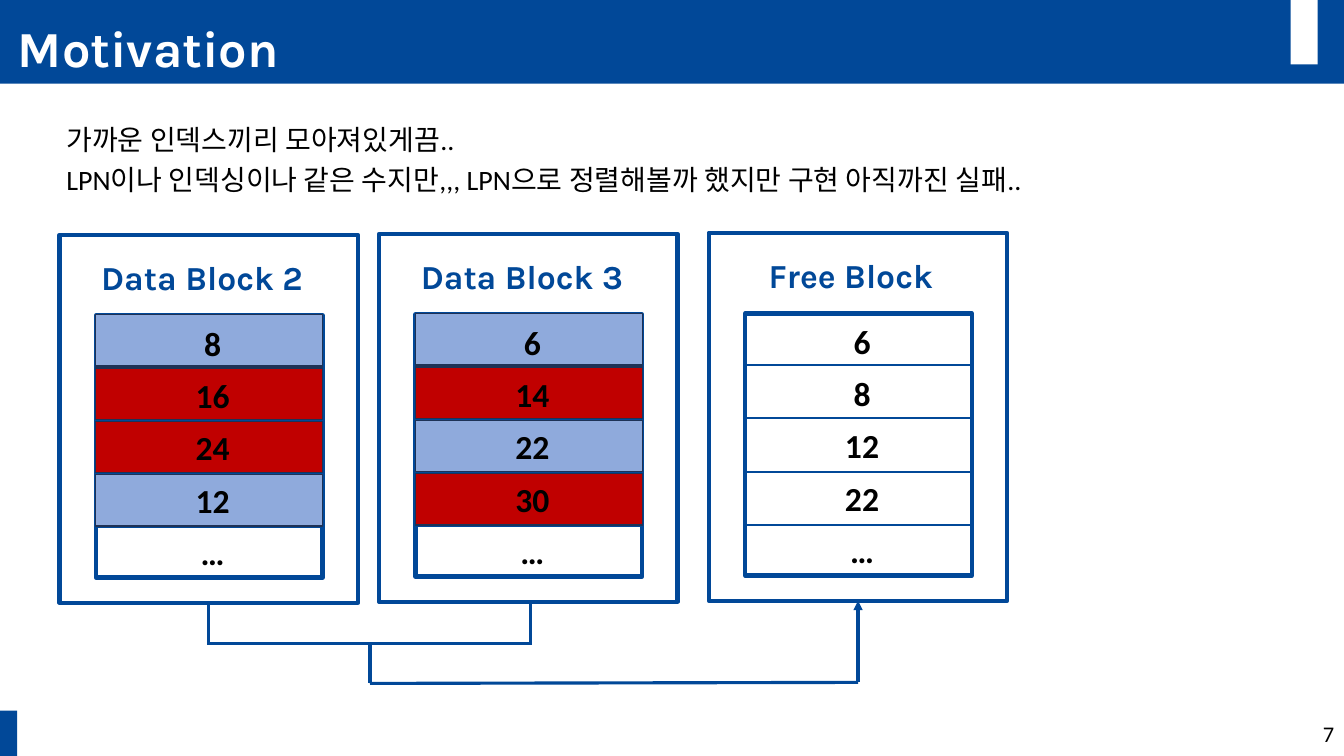
"""Build the Motivation slide: two data blocks merged in order into a free block."""
import pptx
import pptx.util
import pptx.dml.color
import pptx.enum.shapes
import pptx.enum.text
from dataclasses import dataclass
from lxml import etree
from pptx.util import Inches


@dataclass(frozen=True)
class Theme:
    blue: str = "014898"
    white: str = "FFFFFF"
    black: str = "000000"
    valid: str = "8FAADC"
    invalid: str = "C00000"
    cell_edge: str = "1E3256"
    heading_font: str = "Karla"
    body_font: str = "Calibri"
    title_size: int = 36
    block_size: int = 24
    body_size: int = 20
    number_size: int = 16


theme = Theme()
color = pptx.dml.color.RGBColor.from_string
align = pptx.enum.text.PP_ALIGN
anchor = pptx.enum.text.MSO_ANCHOR
rectangle = pptx.enum.shapes.MSO_SHAPE.RECTANGLE
straight = pptx.enum.shapes.MSO_CONNECTOR.STRAIGHT

presentation = pptx.Presentation()
presentation.slide_width = Inches(13.33)
presentation.slide_height = Inches(7.5)
slide = presentation.slides.add_slide(presentation.slide_layouts[6])
shapes = slide.shapes


def add_box(place, fill, edge=None, weight=1):
    shape = shapes.add_shape(rectangle, *map(Inches, place))
    shape.shadow.inherit = False
    shape.fill.solid()
    shape.fill.fore_color.rgb = color(fill)
    if edge:
        shape.line.color.rgb = color(edge)
        shape.line.width = pptx.util.Pt(weight)
    else:
        shape.line.fill.background()


def add_text(place, lines, font_format, paragraph_format=None, frame_format=None):
    frame = shapes.add_textbox(*map(Inches, place)).text_frame
    for name, value in {"word_wrap": True, **(frame_format or {})}.items():
        setattr(frame, name, value)
    frame.text = "\n".join(lines)
    for paragraph in frame.paragraphs:
        for name, value in (paragraph_format or {}).items():
            setattr(paragraph, name, value)
        font = paragraph.runs[0].font
        size, font.name, ink, font.bold = font_format
        font.size = pptx.util.Pt(size)
        font.color.rgb = color(ink)
    return frame


add_box((0, 0, 13.33, 0.83), theme.blue)
add_box((12.8, 0, 0.27, 0.64), theme.white)
add_box((-0.01, 7.05, 0.18, 0.46), theme.blue)
add_text((10.33, 7.08, 3, 0.4), ["7"],
         (theme.number_size, theme.body_font, theme.black, False),
         {"alignment": align.RIGHT}, {"vertical_anchor": anchor.MIDDLE})
add_text((0.08, 0, 11.5, 0.83), ["Motivation"],
         (theme.title_size, theme.heading_font, theme.white, True),
         {"line_spacing": 0.9}, {"vertical_anchor": anchor.BOTTOM})

notes = add_text((0.43, 1.1, 12.47, 0.91),
                 ["가까운 인덱스끼리 모아져있게끔..",
                  "LPN이나 인덱싱이나 같은 수지만,,, LPN으로 정렬해볼까 했지만 구현 아직까진 실패.."],
                 (theme.body_size, theme.body_font, theme.black, False),
                 {"line_spacing": 1.2})
for paragraph in notes.paragraphs:
    properties = paragraph._p.get_or_add_pPr()
    properties.set("marL", str(Inches(0.38)))
    properties.set("indent", str(Inches(-0.25)))

valid, invalid = theme.valid, theme.invalid
blocks = [
    ("Free Block", 7.03, 2.31, 1.97, ["6", "8", "12", "22", "…"], []),
    ("Data Block 2", 0.59, 2.33, 2.33, ["8", "16", "24", "12", "…"],
     [valid, invalid, invalid, valid]),
    ("Data Block 3", 3.76, 2.32, 2.33, ["6", "14", "22", "30", "…"],
     [valid, invalid, valid, invalid]),
]
block_width, page_width, row_step, value_width = 2.96, 2.25, 0.53, 0.6
links = []
for name, left, top, name_width, values, fills in blocks:
    center = left + block_width / 2
    page_left, page_top = left + 0.36, top + 0.8
    add_box((left, top, block_width, 3.65), theme.white, theme.blue, 3)
    add_box((page_left, page_top, page_width, 2.6), theme.white, theme.blue, 3)
    for row in range(1, len(values)):
        line_top = page_top - 0.02 + row * row_step
        line = shapes.add_connector(straight, *map(Inches, (
            page_left, line_top, page_left + page_width, line_top)))
        links.append((line, 1.5))
    for row, fill in enumerate(fills):
        add_box((page_left, page_top - 0.01 + row * row_step, page_width, 0.51),
                fill, theme.cell_edge)
    add_text((center - name_width / 2, top + 0.17, name_width, 0.5), [name],
             (theme.block_size, theme.heading_font, theme.blue, True),
             frame_format={"word_wrap": False})
    for row, value in enumerate(values):
        add_text((center + 0.04 - value_width / 2, top + 0.82 + row * 0.52,
                  value_width, 0.47), [value],
                 (theme.block_size, theme.body_font, theme.black, True),
                 {"alignment": align.CENTER})

merge_path = [
    (2.07, 5.97, 2.07, 6.4),
    (5.26, 5.97, 5.26, 6.4),
    (2.06, 6.38, 5.27, 6.38),
    (3.67, 6.4, 3.67, 6.78),
    (3.67, 6.78, 8.51, 6.77),
    (8.51, 6.77, 8.51, 5.96),
]
for ends in merge_path:
    links.append((shapes.add_connector(straight, *map(Inches, ends)), 2.25))

drawing = "{http://schemas.openxmlformats.org/drawingml/2006/main}"
for line, weight in links:
    line.line.color.rgb = color(theme.blue)
    line.line.width = pptx.util.Pt(weight)
    etree.SubElement(line._element.spPr, drawing + "effectLst")
arrow = links[-1][0]
etree.SubElement(arrow.line._get_or_add_ln(), drawing + "tailEnd", type="triangle")

presentation.save("out.pptx")
